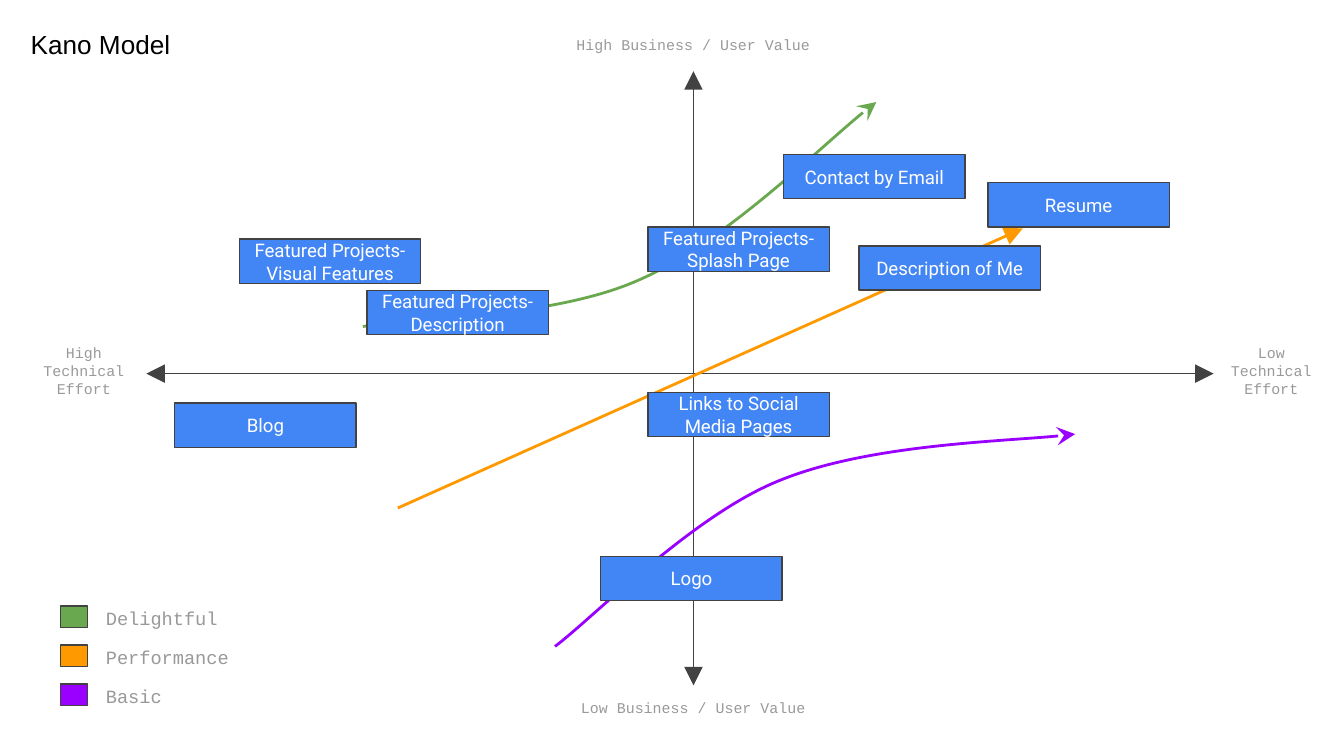
from lxml.etree import SubElement
from pptx import Presentation
from pptx.dml.color import RGBColor
from pptx.enum.shapes import MSO_CONNECTOR, MSO_SHAPE
from pptx.enum.text import MSO_ANCHOR, PP_ALIGN
from pptx.oxml.ns import qn
from pptx.util import Inches, Pt

COLORS = {
    "delightful": "6AA84F",
    "performance": "FF9900",
    "basic": "9900FF",
    "feature": "4285F4",
    "outline": "424242",
    "label": "999999",
    "title": "000000",
    "white": "FFFFFF",
}
FEATURE_SIZE = (1.35, 0.33)
FEATURES = [
    ("Description of Me", 6.39, 1.83),
    ("Logo", 4.47, 4.14),
    ("Featured Projects- Description", 2.73, 2.16),
    ("Contact by Email", 5.83, 1.15),
    ("Featured Projects- Splash Page", 4.82, 1.69),
    ("Links to Social Media Pages", 4.82, 2.92),
    ("Blog", 1.3, 3),
    ("Resume", 7.35, 1.36),
    ("Featured Projects- Visual Features", 1.78, 1.78),
]
AXIS_LABELS = [
    ("High Business / User Value", (4.18, 0.2, 1.96, 0.36), MSO_ANCHOR.TOP),
    ("Low Business / User Value", (4.18, 5.13, 1.96, 0.36), MSO_ANCHOR.TOP),
    ("High Technical Effort", (0.11, 2.58, 1.03, 0.36), MSO_ANCHOR.MIDDLE),
    ("Low Technical Effort", (9.03, 2.58, 0.86, 0.36), MSO_ANCHOR.MIDDLE),
]
# Each curve: a start point, then two control points and an end per segment
DELIGHTFUL_CURVE = [
    (2.7, 2.43), (3.04, 2.37), (4.1, 2.37), (4.74, 2.09),
    (5.37, 1.82), (6.22, 0.98), (6.52, 0.76),
]
BASIC_CURVE = [
    (4.13, 4.81), (4.41, 4.6), (5.15, 3.84), (5.79, 3.58),
    (6.44, 3.31), (7.63, 3.28), (8, 3.23),
]


def rgb(color):
    return RGBColor.from_string(COLORS[color])


def style_line(shape, color, width, head=None, tail=None):
    shape.line.color.rgb = rgb(color)
    shape.line.width = Pt(width)
    outline = shape._element.spPr.find(qn("a:ln"))
    for end, arrow in (("a:headEnd", head), ("a:tailEnd", tail)):
        if arrow:
            SubElement(outline, qn(end), type=arrow, w="lg", len="lg")


def write_text(shape, text, font, size, color,
               align=PP_ALIGN.LEFT, anchor=MSO_ANCHOR.TOP):
    frame = shape.text_frame
    frame.word_wrap = True
    frame.vertical_anchor = anchor
    frame.margin_left = frame.margin_right = Inches(0.1)
    frame.margin_top = frame.margin_bottom = Inches(0.1)
    paragraph = frame.paragraphs[0]
    paragraph.alignment = align
    run = paragraph.add_run()
    run.text = text
    run.font.name = font
    run.font.size = Pt(size)
    run.font.color.rgb = rgb(color)


def add_label(slide, box, *text_style):
    label = slide.shapes.add_textbox(*map(Inches, box))
    write_text(label, *text_style)


def add_box(slide, box, color):
    rectangle = slide.shapes.add_shape(MSO_SHAPE.RECTANGLE, *map(Inches, box))
    rectangle.shadow.inherit = False
    rectangle.fill.solid()
    rectangle.fill.fore_color.rgb = rgb(color)
    style_line(rectangle, "outline", 0.75)
    return rectangle


def add_arrow(slide, start, end, color, width, head=None):
    arrow = slide.shapes.add_connector(
        MSO_CONNECTOR.STRAIGHT, *map(Inches, (*start, *end)))
    style_line(arrow, color, width, head, "triangle")
    SubElement(arrow._element.spPr, qn("a:effectLst"))


def add_curve(slide, points, color):
    """Draw an open freeform and turn each three line segments into a Bézier."""
    start, *rest = [(Inches(x), Inches(y)) for x, y in points]
    builder = slide.shapes.build_freeform(*start)
    builder.add_line_segments(rest, close=False)
    curve = builder.convert_to_shape()
    curve.shadow.inherit = False
    curve.fill.background()
    style_line(curve, color, 1.5, tail="stealth")

    outline = next(curve._element.iter(qn("a:path")))
    segments = outline.findall(qn("a:lnTo"))
    for first in range(0, len(segments), 3):
        bezier = SubElement(outline, qn("a:cubicBezTo"))
        for segment in segments[first:first + 3]:
            bezier.append(segment[0])
            outline.remove(segment)


def add_legend(slide):
    for row, name in enumerate(("Delightful", "Performance", "Basic")):
        top = 4.51 + row * 0.29
        add_box(slide, (0.45, top, 0.2, 0.16), name.lower())
        add_label(slide, (0.69, top - 0.08, 1.96, 0.36),
                  name, "Courier New", 10, "label")


def add_feature(slide, name, left, top):
    feature = add_box(slide, (left, top, *FEATURE_SIZE), "feature")
    write_text(feature, name, "Roboto", 10, "white",
               PP_ALIGN.CENTER, MSO_ANCHOR.MIDDLE)


def main():
    presentation = Presentation()
    presentation.slide_width = Inches(10)
    presentation.slide_height = Inches(10 * 9 / 16)
    slide = presentation.slides.add_slide(presentation.slide_layouts[6])

    add_arrow(slide, (5.16, 0.53), (5.16, 5.1), "outline", 0.75, "triangle")
    add_arrow(slide, (9.03, 2.78), (1.09, 2.78), "outline", 0.75, "triangle")
    add_curve(slide, DELIGHTFUL_CURVE, "delightful")
    add_curve(slide, BASIC_CURVE, "basic")
    add_arrow(slide, (2.96, 3.78), (7.61, 1.7), "performance", 1.5)
    add_legend(slide)
    for text, box, anchor in AXIS_LABELS:
        add_label(slide, box, text, "Courier New", 8, "label",
                  PP_ALIGN.CENTER, anchor)
    add_label(slide, (0.13, 0.11, 1.56, 0.31),
              "Kano Model", "Arial", 14, "title")
    for feature in FEATURES:
        add_feature(slide, *feature)

    presentation.save("out.pptx")


if __name__ == "__main__":
    main()
